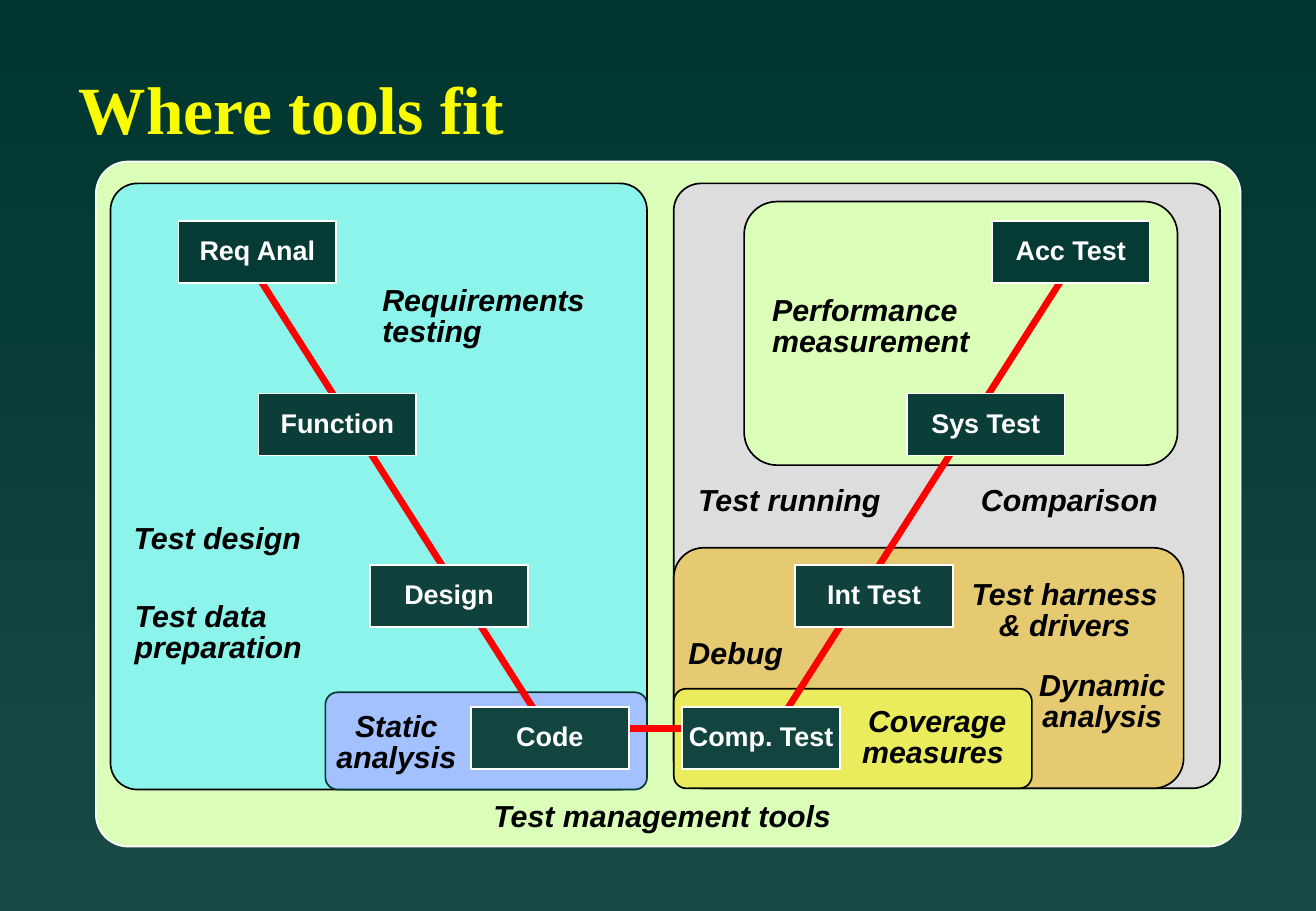
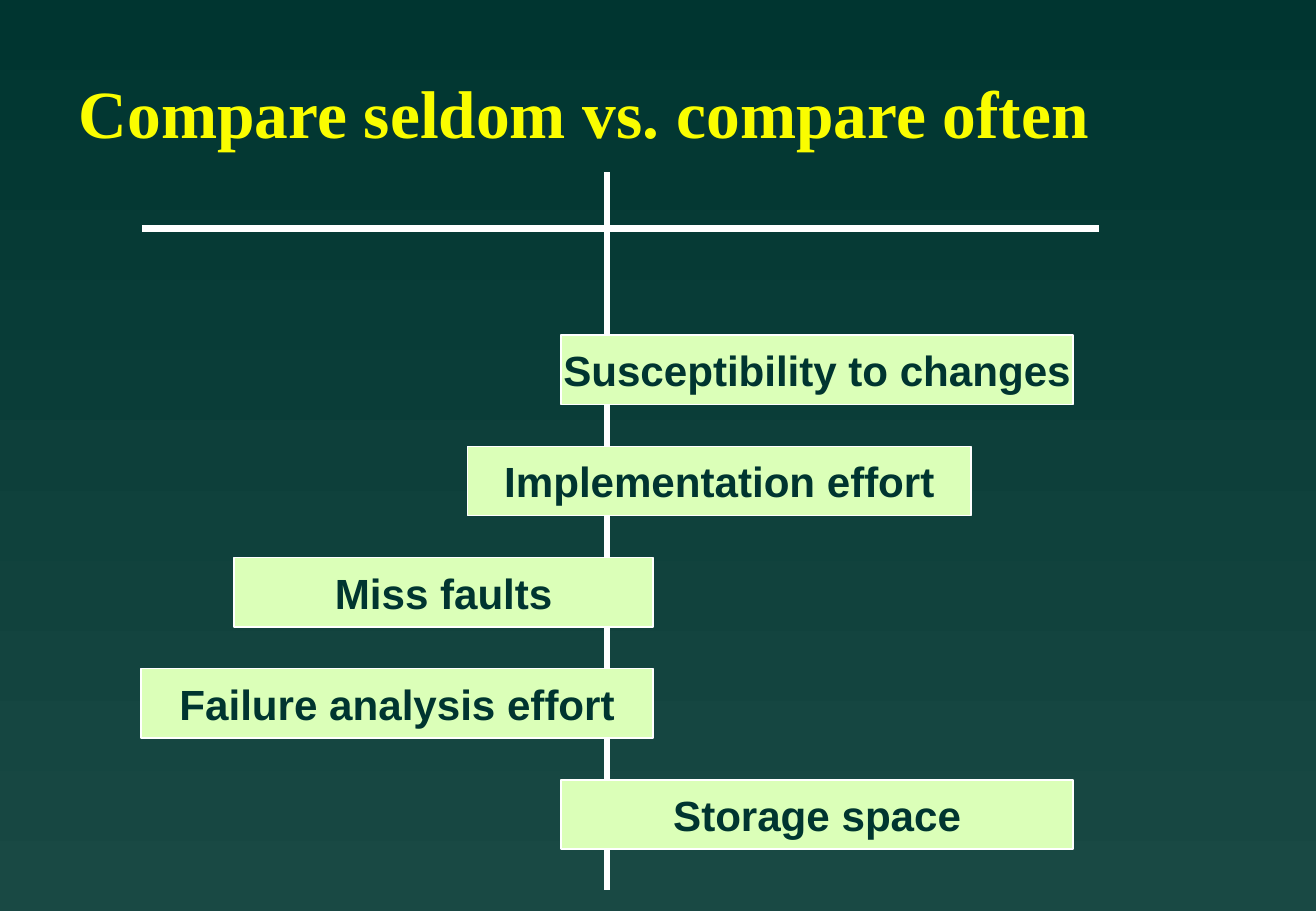
from pptx import Presentation
from pptx.dml.color import RGBColor
from pptx.enum.shapes import MSO_CONNECTOR, MSO_SHAPE
from pptx.enum.text import MSO_ANCHOR, MSO_AUTO_SIZE, PP_ALIGN
from pptx.oxml.ns import qn
from pptx.util import Inches, Pt
from lxml.etree import SubElement

WIDTH, HEIGHT = 10.84, 7.5
PINE = RGBColor(0x00, 0x35, 0x30)
TEAL = RGBColor(0x19, 0x49, 0x44)
YELLOW = RGBColor(0xFA, 0xFD, 0x00)
WHITE = RGBColor(0xFF, 0xFF, 0xFF)
BLACK = RGBColor(0x00, 0x00, 0x00)
RED = RGBColor(0xFF, 0x00, 0x00)
LIME = RGBColor(0xDB, 0xFF, 0xB8)
CYAN = RGBColor(0x8C, 0xF4, 0xEA)
BLUE = RGBColor(0xA2, 0xC1, 0xFE)
GREY = RGBColor(0xDD, 0xDD, 0xDD)
SAND = RGBColor(0xE5, 0xCA, 0x72)
LEMON = RGBColor(0xEA, 0xEC, 0x5E)
LEFT, CENTER = PP_ALIGN.LEFT, PP_ALIGN.CENTER


def write(tf, text, size=18, color=BLACK, font="Arial", italic=False,
          align=CENTER, spacing=1.0):
    """Fill a text frame with one bold paragraph per line of text."""
    for i, line in enumerate(text.split("\n")):
        p = tf.add_paragraph() if i else tf.paragraphs[0]
        p.alignment, p.line_spacing = align, spacing
        r = p.add_run()
        r.text = line
        f = r.font
        f.name, f.size, f.bold, f.italic = font, Pt(size), True, italic
        f.color.rgb = color


def blend(fill, top, bottom):
    """Paint the part of the slide's gradient between two heights."""
    fill.gradient()
    fill.gradient_angle = 270
    for stop, y in zip(fill.gradient_stops, (top, bottom)):
        stop.color.rgb = RGBColor(*(round(a + (b - a) * y / HEIGHT)
                                    for a, b in zip(PINE, TEAL)))


class Deck:
    """The shared style and the slide being built."""

    def __init__(self):
        """Start a presentation with the gradient on its master."""
        self.prs = Presentation()
        self.prs.slide_width, self.prs.slide_height = Inches(WIDTH), Inches(HEIGHT)
        blend(self.prs.slide_master.background.fill, 0, HEIGHT)

    def slide(self, title, spacing=1.0):
        """Add a slide with its title."""
        self.s = self.prs.slides.add_slide(self.prs.slide_layouts[5])
        sp = self.s.shapes.title
        sp.left, sp.top, sp.width, sp.height = map(Inches, (0.55, 0.58, 9.21, 0.67))
        tf = sp.text_frame
        tf.auto_size, tf.vertical_anchor = MSO_AUTO_SIZE.NONE, MSO_ANCHOR.MIDDLE
        write(tf, title, size=40, color=YELLOW, font="Times New Roman",
              align=LEFT, spacing=spacing)

    def shape(self, kind, x, y, w, h, line=WHITE):
        """Add a preset shape with a thin outline."""
        sp = self.s.shapes.add_shape(kind, *map(Inches, (x, y, w, h)))
        sp.shadow.inherit = False
        sp.line.color.rgb, sp.line.width = line, Pt(1)
        return sp

    def region(self, x, y, w, h, fill, line=BLACK, round_by=0.125):
        """Add a rounded area."""
        sp = self.shape(MSO_SHAPE.ROUNDED_RECTANGLE, x, y, w, h, line)
        sp.adjustments[0] = round_by
        sp.fill.solid()
        sp.fill.fore_color.rgb = fill

    def box(self, x, y, w, h, text, fill=None, **fmt):
        """Add a captioned box, in the slide's gradient unless a fill is given."""
        sp = self.shape(MSO_SHAPE.RECTANGLE, x, y, w, h)
        if fill is None:
            blend(sp.fill, y, y + h)
        else:
            sp.fill.solid()
            sp.fill.fore_color.rgb = fill
        tf = sp.text_frame
        tf.word_wrap, tf.vertical_anchor = False, MSO_ANCHOR.MIDDLE
        write(tf, text, **fmt)

    def label(self, x, y, w, h, text, **fmt):
        """Add free text that keeps its own line breaks."""
        tf = self.s.shapes.add_textbox(*map(Inches, (x, y, w, h))).text_frame
        tf.word_wrap, tf.auto_size = False, MSO_AUTO_SIZE.SHAPE_TO_FIT_TEXT
        tf.margin_left = tf.margin_right = Inches(0.07)
        tf.margin_top = tf.margin_bottom = Inches(0.03)
        write(tf, text, **fmt)

    def line(self, x1, y1, x2, y2, color):
        """Add a thick straight line."""
        c = self.s.shapes.add_connector(MSO_CONNECTOR.STRAIGHT,
                                        *map(Inches, (x1, y1, x2, y2)))
        c.line.color.rgb, c.line.width = color, Pt(4)
        SubElement(c._element.spPr, qn("a:effectLst"))


def tools_slide(deck):
    """Build the V-model with its tool areas."""
    deck.slide("Where tools fit", spacing=0.98)
    deck.region(0.79, 1.33, 9.43, 5.64, LIME, WHITE, 0.047)
    deck.region(0.91, 1.51, 4.42, 4.99, CYAN, round_by=0.05)
    deck.region(2.68, 5.7, 2.65, 0.8, BLUE, PINE)
    deck.region(5.55, 1.51, 4.5, 4.98, GREY, round_by=0.05)
    deck.region(5.55, 4.51, 4.2, 1.98, SAND)
    deck.region(5.55, 5.67, 2.95, 0.82, LEMON)
    deck.region(6.13, 1.66, 3.57, 2.17, LIME)

    for ends in ((4.67, 6, 6.33, 6), (8.83, 2.17, 6.33, 6.08), (2, 2.08, 4.5, 6)):
        deck.line(*ends, RED)

    levels = (
        (1.82, (1.47, "Req Anal"), (8.17, "Acc Test")),
        (3.24, (2.13, "Function"), (7.47, "Sys Test")),
        (4.65, (3.05, "Design"), (6.55, "Int Test")),
        (5.82, (3.88, "Code"), (5.62, "Comp. Test")),
    )
    for y, *stages in levels:
        for x, text in stages:
            deck.box(x, y, 1.3, 0.51, text, size=16, color=WHITE, spacing=0.9)

    labels = (
        (2.7, 5.84, 1.13, "Static\nanalysis", CENTER),
        (3.99, 6.58, 2.93, "Test management tools", CENTER),
        (1.03, 4.29, 1.55, "Test design", LEFT),
        (1.04, 4.93, 1.57, "Test data\npreparation", LEFT),
        (7.02, 5.8, 1.4, "Coverage\nmeasures ", CENTER),
        (5.68, 3.98, 1.67, "Test running", LEFT),
        (8.46, 5.5, 1.24, "Dynamic\nanalysis", CENTER),
        (5.6, 5.24, 0.92, "Debug", CENTER),
        (6.29, 2.41, 1.82, "Performance\nmeasurement", LEFT),
        (3.08, 2.33, 1.83, "Requirements\ntesting", LEFT),
        (7.92, 4.75, 1.7, "Test harness\n& drivers", CENTER),
        (8.01, 3.98, 1.62, "Comparison", LEFT),
    )
    for x, y, w, text, align in labels:
        h = 0.57 if "\n" in text else 0.31
        deck.label(x, y, w, h, text, italic=True, align=align, spacing=0.85)


def compare_slide(deck):
    """Build the scale with a bar for each property."""
    deck.slide("Compare seldom vs. compare often")
    axis, top, bottom = 5, 1.42, 7.33
    first, last, height = 2.76, 6.42, 0.57
    for x1, x2 in ((1.17, 5.13), (5.08, 9.05)):
        deck.line(x1, 1.88, x2, 1.88, WHITE)
    bars = (
        (4.62, 4.22, "Susceptibility to changes"),
        (3.85, 4.15, "Implementation effort"),
        (1.93, 3.45, "Miss faults"),
        (1.16, 4.22, "Failure analysis effort"),
        (4.62, 4.22, "Storage space"),
    )
    pitch = (last - first) / (len(bars) - 1)
    for i, (x, w, text) in enumerate(bars):
        y = first + pitch * i
        deck.line(axis, top, axis, y, WHITE)
        deck.box(x, y, w, height, text, LIME, size=25, color=PINE)
        top = y + height
    deck.line(axis, top, axis, bottom, WHITE)


def main():
    """Build both slides and save them."""
    deck = Deck()
    tools_slide(deck)
    compare_slide(deck)
    deck.prs.save("out.pptx")


if __name__ == "__main__":
    main()
